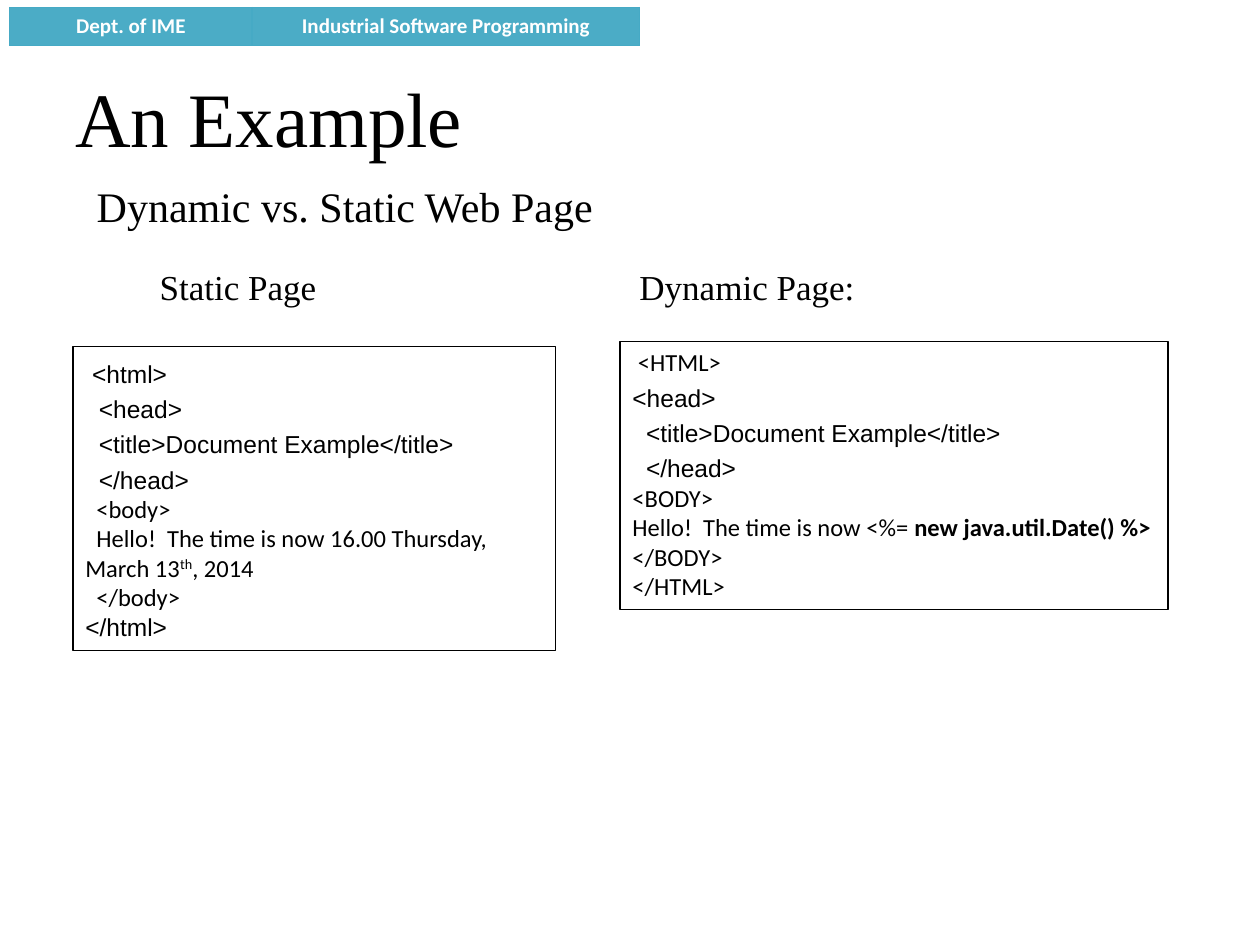
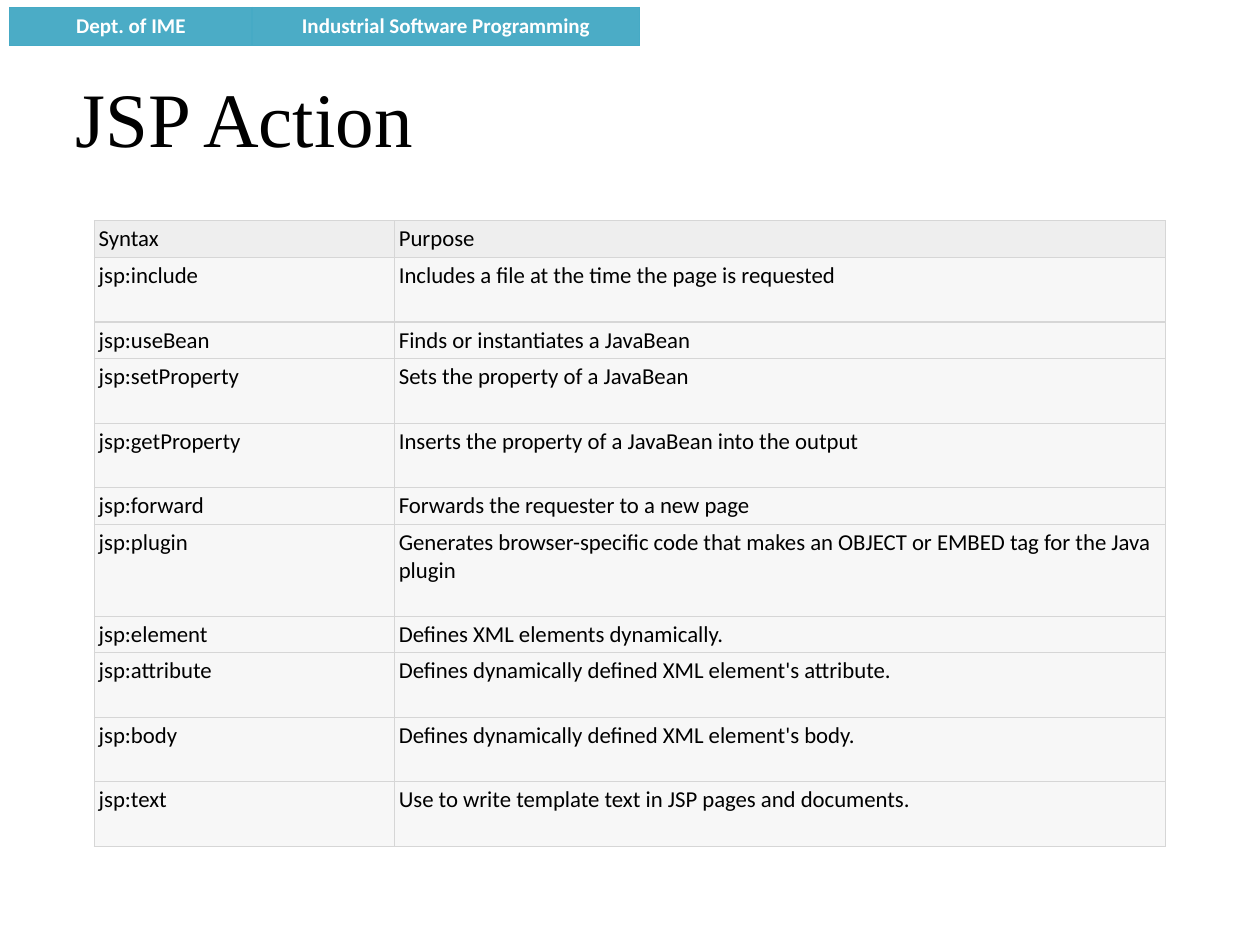
from pptx import Presentation
from pptx.dml.color import RGBColor as Rgb
from pptx.enum.shapes import MSO_SHAPE as Shape
from pptx.enum.text import MSO_ANCHOR as Anchor, MSO_AUTO_SIZE as Fit, PP_ALIGN as Align
from pptx.oxml.ns import qn
from pptx.util import Cm, Pt
from lxml.etree import SubElement as Sub

HUES = {"ink": "000000", "white": "FFFFFF", "band": "4BACC6", "edge": "46AAC5",
        "head": "EEEEEE", "row": "F7F7F7", "grid": "D6D6D6"}
SERIF = "Times New Roman"
BAND = [["Dept. of IME", "Industrial Software Programming"]]
OPEN = {"font": "Arial", "lead": 1.2}

HEAD = [("  <title>Document Example</title>", OPEN), ("  </head>", OPEN)]
STATIC = [
    [(" <html>", OPEN)],
    [("  <head>", OPEN)],
    *[[line] for line in HEAD],
    [("  <body>", {})],
    [("  Hello!  The time is now 16.00 Thursday, March 13", {}),
     ("th", {"base": 30}), (", 2014", {})],
    [("  </body>", {})],
    [("</html>", {"font": "Arial"})],
]
DYNAMIC = [
    [(" <HTML>", {})],
    [("<head>", OPEN)],
    *[[line] for line in HEAD],
    [("<BODY>", {})],
    [("Hello!  The time is now <%= ", {}),
     ("new java.util.Date() %>", {"bold": True})],
    [("</BODY>", {})],
    [("</HTML>", {})],
]

LOW, MID, TALL = 0.74, 1.3, 1.85
ACTIONS = [
    (LOW, "Syntax", "Purpose"),
    (MID, "jsp:include", "Includes a file at the time the page is requested"),
    (LOW, "jsp:useBean", "Finds or instantiates a JavaBean"),
    (MID, "jsp:setProperty", "Sets the property of a JavaBean"),
    (MID, "jsp:getProperty", "Inserts the property of a JavaBean into the output"),
    (LOW, "jsp:forward", "Forwards the requester to a new page"),
    (TALL, "jsp:plugin", "Generates browser-specific code that makes an OBJECT"
                         " or EMBED tag for the Java plugin"),
    (LOW, "jsp:element", "Defines XML elements dynamically."),
    (MID, "jsp:attribute", "Defines dynamically defined XML element's attribute."),
    (MID, "jsp:body", "Defines dynamically defined XML element's body."),
    (MID, "jsp:text", "Use to write template text in JSP pages and documents."),
]


def put(par, text, size=14, font="Calibri", hue="ink", bold=False, base=0,
        lead=None, align=Align.LEFT):
    """Add a run of text to a paragraph."""
    par.alignment = align
    if lead:
        par.line_spacing = lead
    run = par.add_run()
    run.text = text
    face = run.font
    face.size, face.name, face.bold = Pt(size), font, bold
    face.color.rgb = Rgb.from_string(HUES[hue])
    if base:
        run._r.get_or_add_rPr().set("baseline", str(base * 1000))


class Deck:
    """Hold the style and the current slide."""

    def __init__(self):
        self.show = Presentation()
        self.show.slide_width, self.show.slide_height = Cm(25.4), Cm(19.05)

    def page(self, title):
        """Start a slide with its band and title."""
        self.slide = self.show.slides.add_slide(self.show.slide_layouts[6])
        self.table((0.2, 0.15), (4.88, 7.82), [0.76], BAND, ["band"], "edge",
                   size=12, hue="white", bold=True, align=Align.CENTER)
        self.text((1.27, 0.76, 22.86, 3.18), title, size=44)

    def text(self, box, text, anchor=Anchor.MIDDLE, tab=None, **form):
        """Add a line of serif text."""
        frame = self.slide.shapes.add_textbox(*map(Cm, box)).text_frame
        frame.word_wrap, frame.vertical_anchor = True, anchor
        par = frame.paragraphs[0]
        if tab:
            tabs = Sub(par._p.get_or_add_pPr(), qn("a:tabLst"))
            Sub(tabs, qn("a:tab"), pos=str(Cm(tab)), algn="l")
        put(par, text, font=SERIF, **form)

    def code(self, box, lines, wrap=True):
        """Add an outlined listing."""
        rect = self.slide.shapes.add_shape(Shape.RECTANGLE, *map(Cm, box))
        rect.shadow.inherit = False
        rect.fill.background()
        rect.line.color.rgb = Rgb.from_string(HUES["ink"])
        rect.line.width = Pt(0.75)
        frame = rect.text_frame
        frame.word_wrap, frame.auto_size = wrap, Fit.SHAPE_TO_FIT_TEXT
        frame.vertical_anchor = Anchor.TOP
        for i, line in enumerate(lines):
            par = frame.add_paragraph() if i else frame.paragraphs[0]
            for text, form in line:
                put(par, text, **form)

    def table(self, spot, cols, rows, data, fills, edge, pad=None, **form):
        """Add a table with one fill for each row."""
        area = (*spot, sum(cols), sum(rows))
        grid = self.slide.shapes.add_table(len(rows), len(cols), *map(Cm, area)).table
        grid.first_row = grid.horz_banding = False
        for col, wide in zip(grid.columns, cols):
            col.width = Cm(wide)
        for row, high, words, fill in zip(grid.rows, rows, data, fills):
            row.height = Cm(high)
            for cell, text in zip(row.cells, words):
                self.rim(cell, edge)
                cell.fill.solid()
                cell.fill.fore_color.rgb = Rgb.from_string(HUES[fill])
                if pad:
                    cell.margin_left = cell.margin_right = Cm(pad)
                    cell.margin_top = cell.margin_bottom = Cm(pad)
                put(cell.text_frame.paragraphs[0], text, **form)

    def rim(self, cell, hue):
        """Draw the four borders of a cell."""
        for side in "LRTB":
            line = Sub(cell._tc.get_or_add_tcPr(), qn(f"a:ln{side}"), w=str(Pt(0.75)))
            Sub(Sub(line, qn("a:solidFill")), qn("a:srgbClr"), val=HUES[hue])


def main():
    """Build the slides and save them."""
    deck = Deck()
    deck.page("An Example")
    deck.text((1.7, 3.33, 21.59, 1.63), "Dynamic vs. Static Web Page", size=24)
    deck.text((2.97, 4.88, 18.21, 1.47), "Static Page\tDynamic Page:",
              anchor=Anchor.TOP, tab=9.67, size=20, lead=1.4)
    deck.code((1.47, 6.99, 9.73, 6.12), STATIC)
    deck.code((12.5, 6.88, 11.05, 5.41), DYNAMIC, wrap=False)

    deck.page("JSP Action")
    rows = [high for high, *_ in ACTIONS]
    data = [words for _, *words in ACTIONS]
    fills = ["head"] + ["row"] * (len(rows) - 1)
    deck.table((1.9, 4.45), (6.05, 15.54), rows, data, fills, "grid",
               pad=0.09, size=13)
    deck.show.save("out.pptx")


if __name__ == "__main__":
    main()
